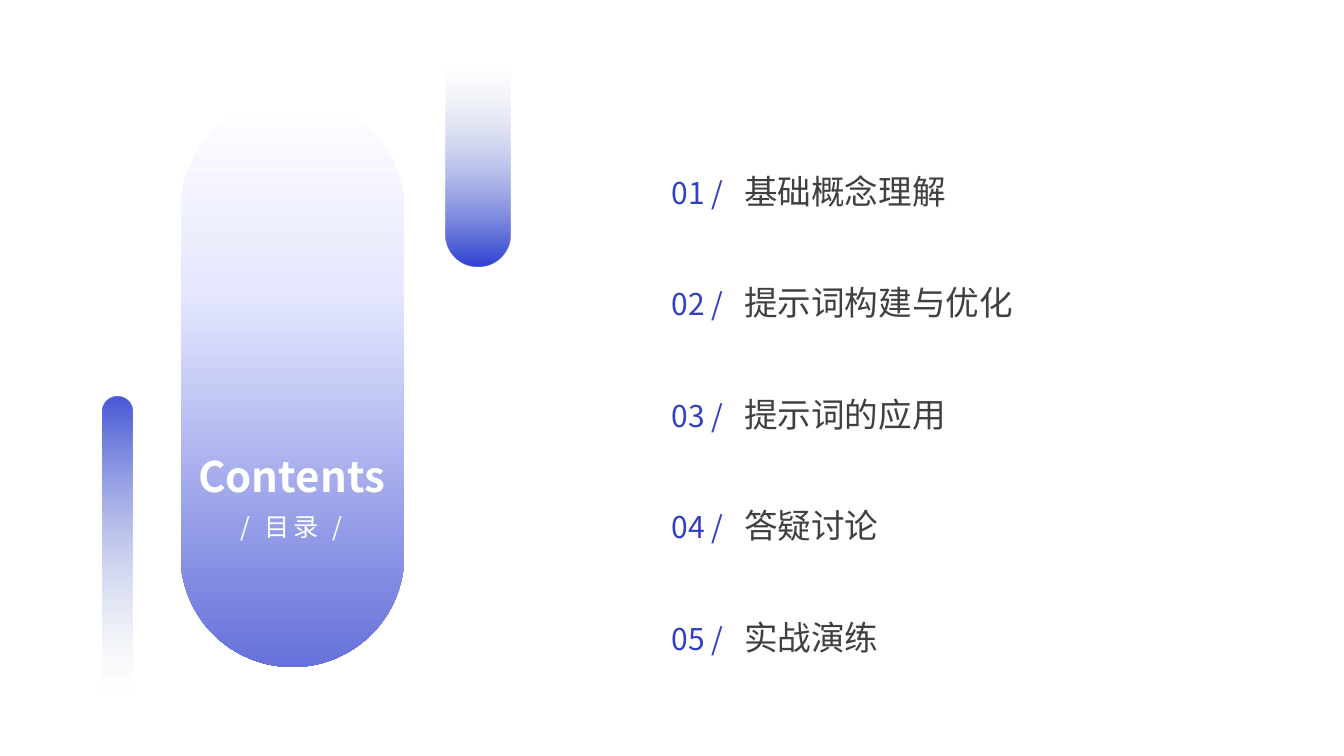
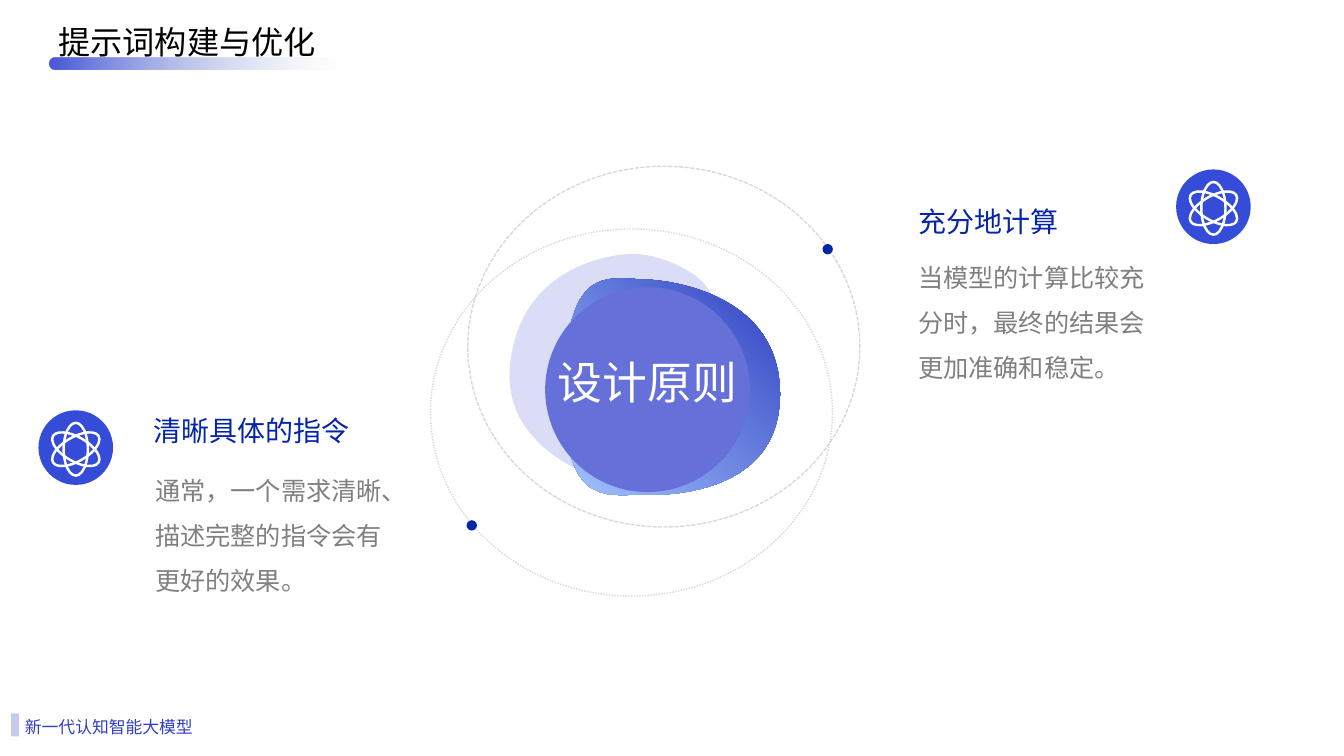
"""Build a contents slide and a design-principles slide in one blue theme."""
import dataclasses

import lxml.etree
import pptx
import pptx.dml.color
import pptx.enum.dml
import pptx.enum.shapes
import pptx.enum.text
import pptx.oxml.ns
import pptx.util

Cm = pptx.util.Cm
Pt = pptx.util.Pt
qn = pptx.oxml.ns.qn
ALIGN = pptx.enum.text.PP_ALIGN
ANCHOR = pptx.enum.text.MSO_ANCHOR
PRESET = pptx.enum.shapes.MSO_SHAPE
DASH = pptx.enum.dml.MSO_LINE


@dataclasses.dataclass(frozen=True)
class Theme:
    font: str = "Noto Sans CJK SC"
    white: str = "FFFFFF"
    black: str = "000000"
    entry: str = "404040"
    accent: str = "3140C2"
    heading: str = "0425AA"
    detail: str = "808080"
    badge: str = "344CD7"
    core: str = "6570D9"
    pale: str = "DBDDF6"
    marker: str = "C3CBEE"
    orbit: str = "D9D9D9"
    pill: tuple = ((0, "FFFFFF", 100), (34, "E5E8FE", 100), (100, "6671DA", 100))
    deep_fade: tuple = ((20, "CAD5E2", 0), (99, "3446D3", 100))
    soft_fade: tuple = ((20, "CAD5E2", 0), (99, "4B5BD7", 100))
    petal: tuple = ((0, "3041C0", 100), (100, "A3C3FF", 100))
    footer_size: float = 12
    detail_size: float = 18
    heading_size: float = 20
    number_size: float = 21.4
    title_size: float = 23
    entry_size: float = 24
    cover_size: float = 30
    core_size: float = 32
    entry_pitch: float = 79.6
    detail_pitch: float = 32.1


THEME = Theme()
ENTRIES = ["基础概念理解", "提示词构建与优化", "提示词的应用", "答疑讨论", "实战演练"]
PALE_PETAL = [
    (15.85, 6.4),
    (16.58, 6.32), (19.23, 7.24), (17.3, 8.81),
    (15.34, 10.39), (17.09, 12.24), (16.36, 12.29),
    (15.62, 12.37), (12.62, 11.56), (12.85, 9.22),
    (13.08, 6.86), (15.11, 6.45), (15.85, 6.4),
]
DEEP_PETAL = [
    (14.22, 9.75),
    (14.27, 6.68), (15.29, 7.01), (16.18, 7.04),
    (17.09, 7.06), (19.66, 7.49), (19.66, 9.93),
    (19.66, 12.34), (17.09, 12.5), (16.18, 12.47),
    (15.29, 12.45), (14.17, 12.83), (14.22, 9.75),
]


def rgb(value):
    """Turn a hex string into a colour."""
    return pptx.dml.color.RGBColor.from_string(value)


def lengths(box):
    """Convert left, top, width and height from centimetres."""
    return [Cm(value) for value in box]


def paint(shape, color=None):
    """Give a shape a flat fill, or none, without line or shadow."""
    shape.shadow.inherit = False
    shape.line.fill.background()
    if color:
        shape.fill.solid()
        shape.fill.fore_color.rgb = rgb(color)
    else:
        shape.fill.background()


def paint_gradient(shape, stops, angle):
    """Fill a shape with gradient stops of position, colour and opacity."""
    paint(shape)
    shape.fill.gradient()
    gradient = shape._element.spPr.find(qn("a:gradFill"))
    gradient.find(qn("a:lin")).set("ang", str(angle * 60000))
    stop_list = gradient.find(qn("a:gsLst"))
    for old_stop in list(stop_list):
        stop_list.remove(old_stop)
    for position, color, opacity in stops:
        stop = lxml.etree.SubElement(stop_list, qn("a:gs"), pos=str(position * 1000))
        tint = lxml.etree.SubElement(stop, qn("a:srgbClr"), val=color)
        if opacity < 100:
            lxml.etree.SubElement(tint, qn("a:alpha"), val=str(opacity * 1000))


def add_flat(slide, preset, box, color):
    """Add a flat preset shape."""
    shape = slide.shapes.add_shape(preset, *lengths(box))
    paint(shape, color)


def add_bar(slide, box, stops, angle):
    """Add a fully rounded bar with a gradient."""
    bar = slide.shapes.add_shape(PRESET.ROUNDED_RECTANGLE, *lengths(box))
    bar.adjustments[0] = 0.5
    paint_gradient(bar, stops, angle)


def add_ring(slide, box, color, width, dash=None, rotation=0):
    """Add an unfilled ellipse."""
    ring = slide.shapes.add_shape(PRESET.OVAL, *lengths(box))
    paint(ring)
    ring.line.color.rgb = rgb(color)
    ring.line.width = Pt(width)
    if dash:
        ring.line.dash_style = dash
    ring.rotation = rotation


def add_petal(slide, points, steps=24):
    """Add a closed outline through a chain of cubic curves."""
    outline = []
    for first in range(0, len(points) - 1, 3):
        a, b, c, d = points[first:first + 4]
        for step in range(1, steps + 1):
            t = step / steps
            weights = ((1 - t) ** 3, 3 * t * (1 - t) ** 2, 3 * t * t * (1 - t), t ** 3)
            outline.append([
                Cm(sum(weight * point[axis] for weight, point in zip(weights, (a, b, c, d))))
                for axis in (0, 1)
            ])
    builder = slide.shapes.build_freeform(*outline[-1])
    builder.add_line_segments(outline, close=True)
    return builder.convert_to_shape()


def add_run(paragraph, text, size, color, bold=False, tracking=0):
    """Append one formatted run."""
    run = paragraph.add_run()
    run.text = text
    run.font.size = Pt(size)
    run.font.bold = bold
    run.font.color.rgb = rgb(color)
    run.font.name = THEME.font
    properties = run._r.get_or_add_rPr()
    properties.find(qn("a:latin")).addnext(
        properties.makeelement(qn("a:ea"), {"typeface": THEME.font}))
    if tracking:
        properties.set("spc", str(tracking * 100))


def prepare_frame(holder, box, anchor):
    """Place a text holder and return its frame without insets."""
    holder.left, holder.top, holder.width, holder.height = lengths(box)
    frame = holder.text_frame
    frame.word_wrap = True
    frame.auto_size = pptx.enum.text.MSO_AUTO_SIZE.NONE
    frame.vertical_anchor = anchor
    frame.margin_left = frame.margin_right = frame.margin_top = frame.margin_bottom = 0
    return frame


def write_line(holder, box, text, size, color, align=ALIGN.LEFT, **style):
    """Write one vertically centred line into a text holder."""
    paragraph = prepare_frame(holder, box, ANCHOR.MIDDLE).paragraphs[0]
    paragraph.alignment = align
    add_run(paragraph, text, size, color, **style)


def add_title(slide, box, text, size, color, **style):
    """Fill the title placeholder and bring it to the front."""
    title = slide.shapes.title
    write_line(title, box, text, size, color, **style)
    slide.shapes._spTree.append(title._element)


def add_label(slide, box, text, size, color, **style):
    """Add a one-line text box."""
    write_line(slide.shapes.add_textbox(*lengths(box)), box, text, size, color, **style)


def add_detail(slide, box, text):
    """Add a wrapped explanatory paragraph."""
    holder = slide.shapes.add_textbox(*lengths(box))
    paragraph = prepare_frame(holder, box, ANCHOR.TOP).paragraphs[0]
    paragraph.line_spacing = Pt(THEME.detail_pitch)
    paragraph._p.get_or_add_pPr().set("hangingPunct", "1")
    add_run(paragraph, text, THEME.detail_size, THEME.detail)


def fill_agenda(holder, box, entries):
    """Write numbered entries into the body placeholder."""
    frame = prepare_frame(holder, box, ANCHOR.TOP)
    for number, entry in enumerate(entries, 1):
        paragraph = frame.paragraphs[0] if number == 1 else frame.add_paragraph()
        paragraph.alignment = ALIGN.LEFT
        paragraph.line_spacing = Pt(THEME.entry_pitch)
        paragraph.space_before = Pt(0)
        properties = paragraph._p.get_or_add_pPr()
        properties.set("marL", str(Cm(1.83)))
        properties.set("indent", str(-Cm(1.83)))
        lxml.etree.SubElement(properties, qn("a:buNone"))
        add_run(paragraph, f"{number:02d} /\t", THEME.number_size, THEME.accent)
        add_run(paragraph, entry, THEME.entry_size, THEME.entry)


def add_atom_badge(slide, left, top):
    """Add a round badge with three crossing orbits."""
    diameter, ring_width, ring_height = 1.88, 0.61, 1.33
    add_flat(slide, PRESET.OVAL, (left, top, diameter, diameter), THEME.badge)
    ring_box = (left + (diameter - ring_width) / 2,
                top + 0.04 + (diameter - ring_height) / 2, ring_width, ring_height)
    for rotation in (0, 60, 120):
        add_ring(slide, ring_box, THEME.white, 1.75, rotation=rotation)


def add_principle(slide, badge, heading_at, detail_at, heading, detail):
    """Add a badge with its heading and explanation."""
    add_atom_badge(slide, *badge)
    add_label(slide, (*heading_at, 6, 1), heading, THEME.heading_size, THEME.heading)
    add_detail(slide, (*detail_at, 6.22, 3.5), detail)


def add_footer(slide):
    """Add the footer line with its marker."""
    add_label(slide, (0.63, 17.92, 5, 0.8), "新一代认知智能大模型",
              THEME.footer_size, THEME.accent)
    add_flat(slide, PRESET.RECTANGLE, (0.28, 17.98, 0.2, 0.58), THEME.marker)


def build_contents(deck):
    """Build the contents slide."""
    slide = deck.slides.add_slide(deck.slide_layouts[1])
    fill_agenda(slide.placeholders[1], (16.92, 2.51, 12, 14.1), ENTRIES)
    add_bar(slide, (4.55, 2.46, 5.64, 14.35), THEME.pill, 90)
    add_bar(slide, (11.24, 0.36, 1.62, 6.35), THEME.deep_fade, 90)
    add_bar(slide, (2.58, 10, 0.75, 9.3), THEME.soft_fade, 270)
    add_title(slide, (3.68, 11.19, 7.34, 1.6), "Contents", THEME.cover_size,
              THEME.white, align=ALIGN.CENTER, bold=True)
    add_label(slide, (3.68, 12.77, 7.34, 1), "/ 目录 /", THEME.detail_size,
              THEME.white, align=ALIGN.CENTER, tracking=3)


def build_principles(deck):
    """Build the design-principles slide."""
    slide = deck.slides.add_slide(deck.slide_layouts[5])
    add_bar(slide, (1.24, 1.45, 9.27, 0.3), THEME.soft_fade, 180)
    add_title(slide, (1.47, 0.45, 7, 1.2), ENTRIES[1], THEME.title_size, THEME.black)
    add_footer(slide)
    paint(add_petal(slide, PALE_PETAL), THEME.pale)
    paint_gradient(add_petal(slide, DEEP_PETAL), THEME.petal, 135)
    add_flat(slide, PRESET.OVAL, (13.74, 7.24, 5.16, 5.16), THEME.core)
    add_label(slide, (13.74, 8.61, 5.16, 2), "设计原则", THEME.core_size,
              THEME.white, align=ALIGN.CENTER)
    add_ring(slide, (11.79, 4.19, 9.88, 9.09), THEME.orbit, 1, DASH.SQUARE_DOT)
    add_ring(slide, (10.85, 5.77, 10.13, 9.25), THEME.orbit, 1, DASH.ROUND_DOT)
    for left, top in ((11.76, 13.11), (20.73, 6.15)):
        add_flat(slide, PRESET.OVAL, (left, top, 0.26, 0.26), THEME.heading)
    add_principle(slide, (0.97, 10.34), (3.86, 10.35), (3.91, 11.61), "清晰具体的指令",
                  "通常，一个需求清晰、描述完整的指令会有更好的效果。")
    add_principle(slide, (29.64, 4.27), (23.14, 5.08), (23.14, 6.25), "充分地计算",
                  "当模型的计算比较充分时，最终的结果会更加准确和稳定。")


def main():
    """Build and save the deck."""
    deck = pptx.Presentation()
    deck.slide_width, deck.slide_height = Cm(33.87), Cm(19.05)
    build_contents(deck)
    build_principles(deck)
    deck.save("out.pptx")


if __name__ == "__main__":
    main()
